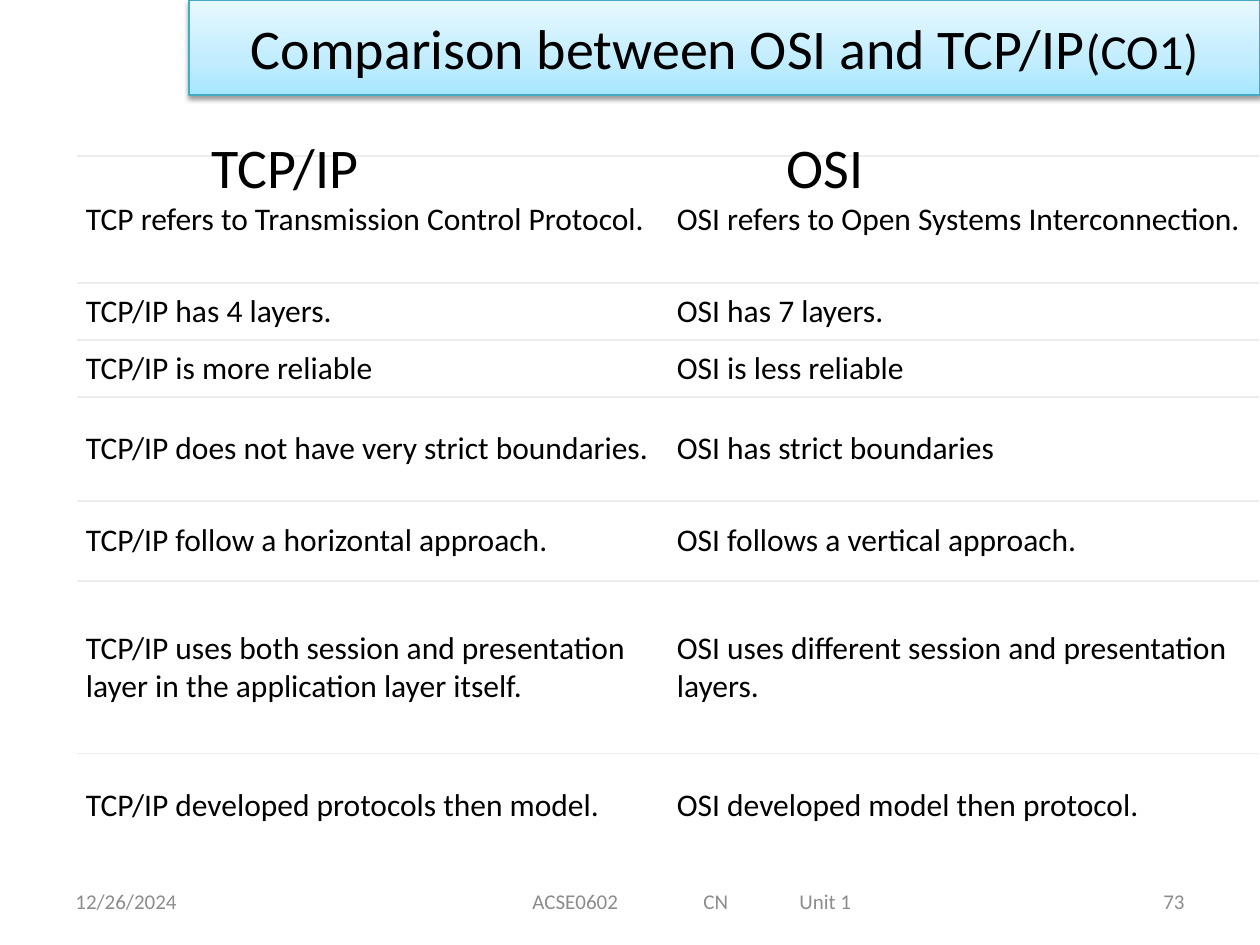
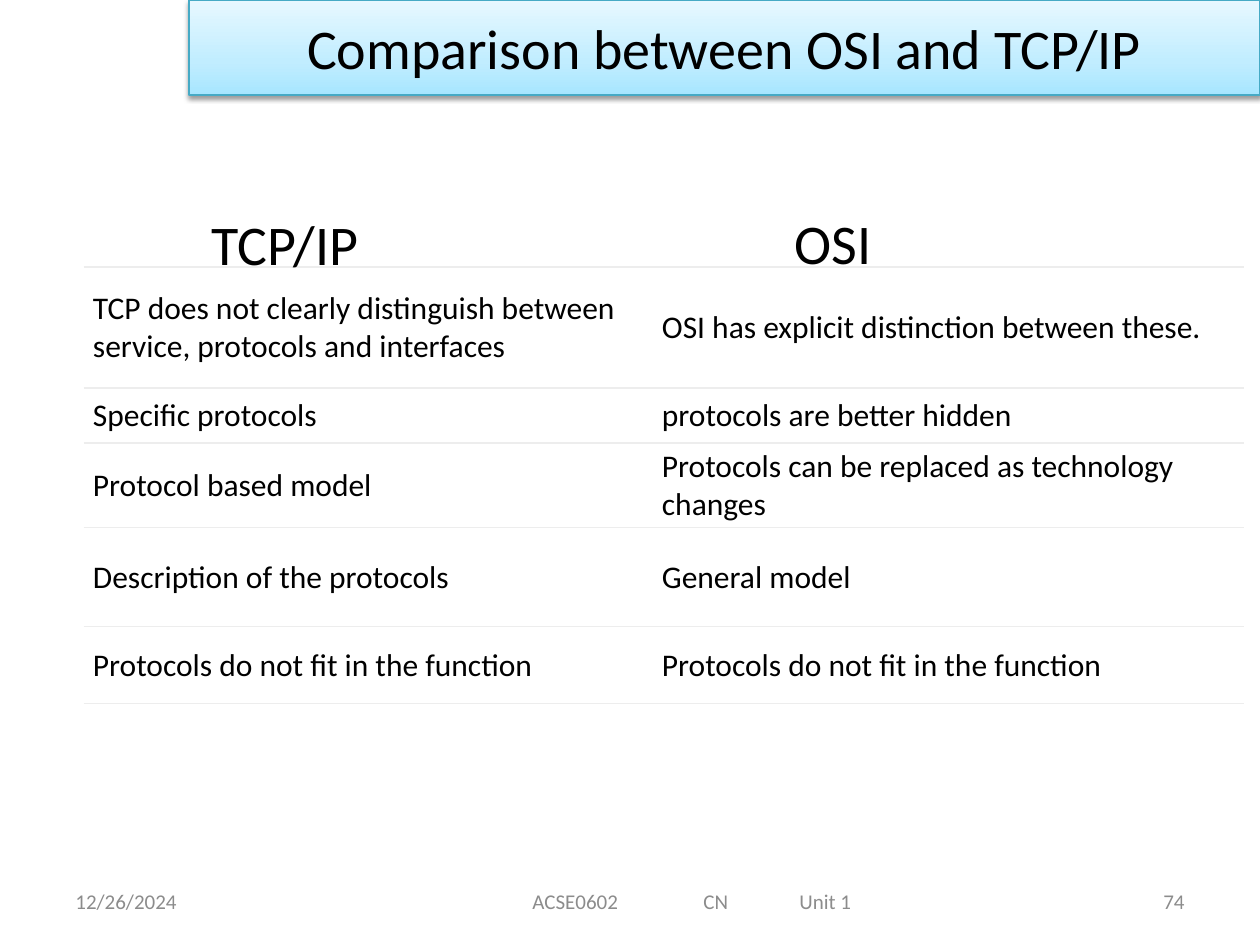
from lxml import etree
from pptx import Presentation
from pptx.dml.color import RGBColor
from pptx.enum.shapes import MSO_SHAPE
from pptx.enum.text import MSO_ANCHOR as Anchor, PP_ALIGN as Align
from pptx.oxml import parse_xml
from pptx.util import Emu, Pt

PX = 914400 / 126
FONT = "Calibri"
COLORS = {
    "text": "000000",
    "footer": "8C8C8C",
    "cell": "FFFFFF",
    "rule": "EDEDED",
    "band line": "46AAC5",
    "band bottom": "A7E6FF",
    "band middle": "C1EDFF",
    "band top": "E7F8FF",
}
NS = 'xmlns:a="http://schemas.openxmlformats.org/drawingml/2006/main"'
NO_STYLE = "{2D5ABB26-0587-4C30-8999-92F81FD0307C}"
TITLE = "Comparison between OSI and TCP/IP"
DATE = "12/26/2024"
COURSE = "ACSE0602\tCN\tUnit 1"
COURSE_TABS = (171, 267)

SLIDES = [
    {
        "number": "73",
        "suffix": "(CO1)",
        "headings": [("OSI", 774, 126), ("TCP/IP", 199, 126)],
        "corner": (77, 156),
        "columns": (591, 591),
        "closing rule": False,
        "rows": [
            (127, "TCP refers to Transmission Control Protocol.",
             "OSI refers to Open Systems Interconnection."),
            (57, "TCP/IP has 4 layers.", "OSI has 7 layers."),
            (57, "TCP/IP is more reliable", "OSI is less reliable"),
            (104, "TCP/IP does not have very strict boundaries.",
             "OSI has strict boundaries"),
            (80, "TCP/IP follow a horizontal approach.",
             "OSI follows a vertical approach."),
            (173, "TCP/IP uses both session and presentation layer in the "
             "application layer itself.",
             "OSI uses different session and presentation layers."),
            (104, "TCP/IP developed protocols then model.",
             "OSI developed model then protocol."),
        ],
    },
    {
        "number": "74",
        "suffix": "",
        "headings": [("OSI", 782, 202), ("TCP/IP", 199, 203)],
        "corner": (84, 267),
        "columns": (569, 591),
        "closing rule": True,
        "rows": [
            (121, "TCP does not clearly distinguish between service, "
             "protocols and interfaces",
             "OSI has explicit distinction between these."),
            (55, "Specific protocols", "protocols are better hidden"),
            (85, "Protocol based model",
             "Protocols can be replaced as technology changes"),
            (99, "Description of the protocols", "General model"),
            (77, "Protocols do not fit in the function",
             "Protocols do not fit in the function"),
        ],
    },
]


def px(*lengths):
    """Turn pixel lengths into a list of EMU lengths."""
    return [Emu(round(length * PX)) for length in lengths]


def write(text, frame, size=18, color="text", align=Align.LEFT,
          anchor=Anchor.MIDDLE, tabs=()):
    """Append a formatted run to the first paragraph of a text frame."""
    frame.word_wrap = True
    frame.vertical_anchor = anchor
    paragraph = frame.paragraphs[0]
    paragraph.alignment = align
    if tabs:
        stops = "".join(f'<a:tab pos="{stop}" algn="l"/>' for stop in px(*tabs))
        paragraph._p.get_or_add_pPr().append(
            parse_xml(f"<a:tabLst {NS}>{stops}</a:tabLst>"))
    run = paragraph.add_run()
    run.text = text
    run.font.name = FONT
    run.font.size = Pt(size)
    run.font.color.rgb = RGBColor.from_string(COLORS[color])


presentation = Presentation()
presentation.slide_width, presentation.slide_height = px(1260, 945)

for content in SLIDES:
    slide = presentation.slides.add_slide(presentation.slide_layouts[6])
    shapes = slide.shapes

    # Footer: date, page number, course
    for text, left, width, align, tabs in (
        (DATE, 63, 294, Align.LEFT, ()),
        (content["number"], 903, 294, Align.RIGHT, ()),
        (COURSE, 520, 520, Align.LEFT, COURSE_TABS),
    ):
        footer = shapes.add_textbox(*px(left, 876, width, 50))
        write(text, footer.text_frame, size=12, color="footer", align=align,
              tabs=tabs)

    # Title band
    band = shapes.add_shape(MSO_SHAPE.RECTANGLE, *px(189, 0, 1071, 95))
    band.line.color.rgb = RGBColor.from_string(COLORS["band line"])
    band.line.width = Pt(0.75)
    band.fill.gradient()
    band.fill.gradient_angle = 90
    stop_list = band._element.spPr.find(".//{*}gsLst")
    stop_list.clear()
    for percent, name in ((0, "band bottom"), (35, "band middle"),
                          (100, "band top")):
        stop_list.append(parse_xml(
            f'<a:gs {NS} pos="{percent * 1000}">'
            f'<a:srgbClr val="{COLORS[name]}"/></a:gs>'))
    band.shadow.inherit = False
    band._element.spPr.find("{*}effectLst").append(parse_xml(
        f'<a:outerShdw {NS} blurRad="{Pt(3.1)}" dist="{Pt(1.6)}" '
        'dir="5400000" rotWithShape="0"><a:srgbClr val="000000">'
        '<a:alpha val="38000"/></a:srgbClr></a:outerShdw>'))
    write(TITLE, band.text_frame, size=32, align=Align.CENTER)
    if content["suffix"]:
        write(content["suffix"], band.text_frame, size=28, align=Align.CENTER)

    # Comparison table
    rows, columns = content["rows"], content["columns"]
    heights = [row[0] for row in rows]
    frame = shapes.add_table(
        len(rows), len(columns),
        *px(*content["corner"], sum(columns), sum(heights)))
    table = frame.table
    table.first_row = table.horz_banding = False
    table._tbl.tblPr.find("{*}tableStyleId").text = NO_STYLE
    for column, width in zip(table.columns, px(*columns)):
        column.width = width
    for row, height in zip(table.rows, px(*heights)):
        row.height = height
    for row_index, (_, *texts) in enumerate(rows):
        is_last = row_index == len(rows) - 1
        edges = ["lnT"] if is_last and not content["closing rule"] else ["lnT", "lnB"]
        for column_index, text in enumerate(texts):
            cell = table.cell(row_index, column_index)
            cell.margin_left, cell.margin_right = px(9, 9)
            cell.margin_top, cell.margin_bottom = px(4, 4)
            write(text, cell.text_frame)
            cell.vertical_anchor = Anchor.MIDDLE
            cell.fill.solid()
            cell.fill.fore_color.rgb = RGBColor.from_string(COLORS["cell"])
            properties = cell._tc.get_or_add_tcPr()
            for position, edge in enumerate(edges):
                properties.insert(position, parse_xml(
                    f'<a:{edge} {NS} w="{Pt(0.75)}"><a:solidFill>'
                    f'<a:srgbClr val="{COLORS["rule"]}"/></a:solidFill>'
                    f'</a:{edge}>'))

    # Column headings
    for text, left, top in content["headings"]:
        heading = shapes.add_textbox(*px(left, top, 551, 79))
        write(text, heading.text_frame, size=32, anchor=Anchor.TOP)

presentation.save("out.pptx")
